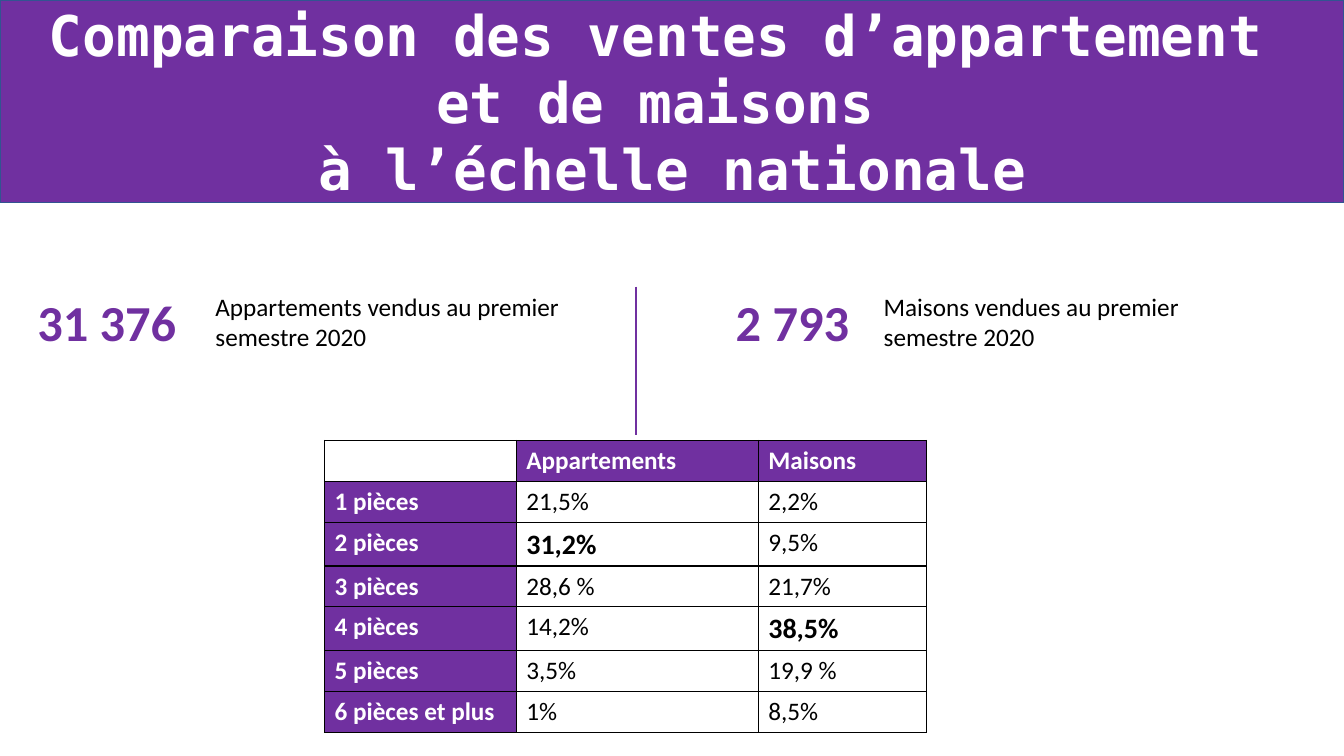
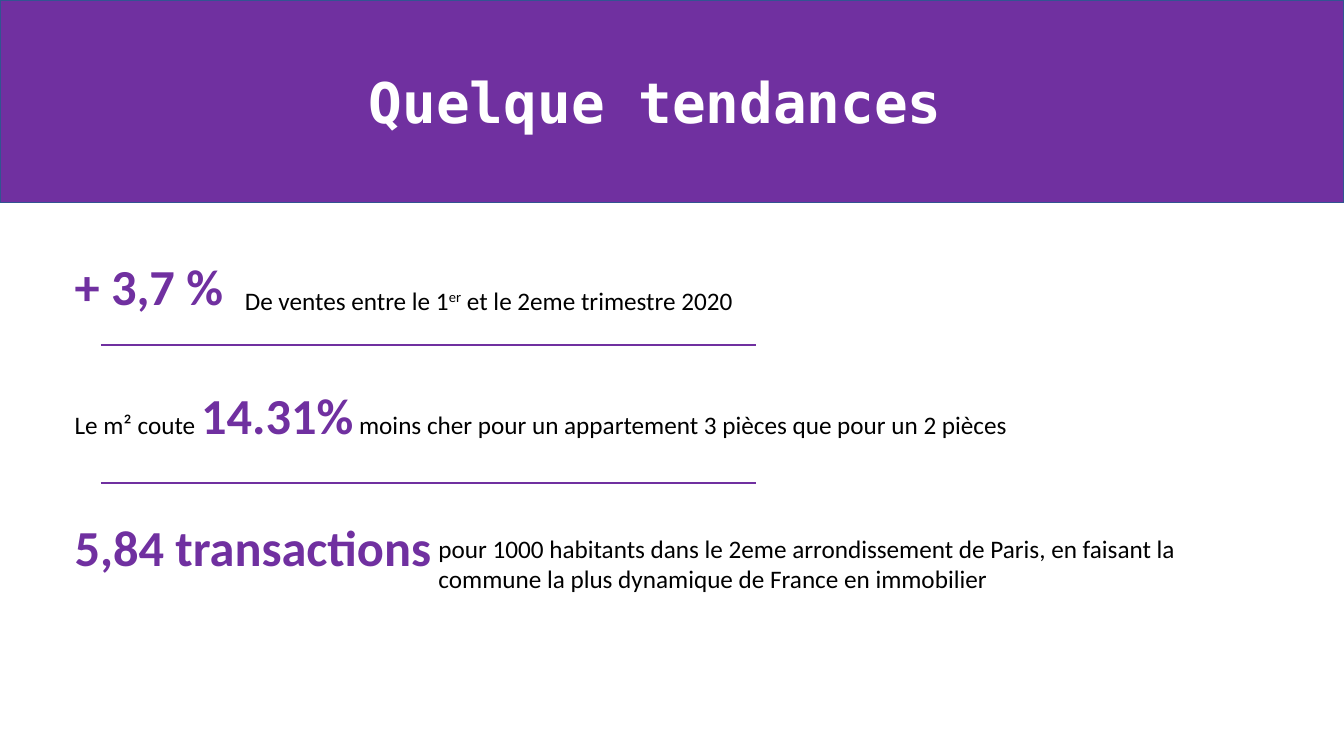
from dataclasses import dataclass

from lxml import etree
from pptx import Presentation
from pptx.dml.color import RGBColor
from pptx.enum.shapes import MSO_CONNECTOR
from pptx.enum.text import MSO_ANCHOR, MSO_AUTO_SIZE, PP_ALIGN
from pptx.oxml.ns import qn
from pptx.util import Cm, Pt

CENTER, LEFT = PP_ALIGN.CENTER, PP_ALIGN.LEFT
MIDDLE = MSO_ANCHOR.MIDDLE
NO_AUTOFIT = MSO_AUTO_SIZE.NONE
STRAIGHT = MSO_CONNECTOR.STRAIGHT
TITLE_ONLY = 5


@dataclass(frozen=True)
class Theme:
    purple: str = "7030A0"
    band_edge: str = "325491"
    white: str = "FFFFFF"
    black: str = "000000"
    title_font: str = "DejaVu Sans Mono"
    body_font: str = "Calibri"
    title_size: int = 40
    figure_size: int = 36
    emphasis_size: int = 20
    body_size: int = 18
    rule_width: float = 1.5
    border_width: float = 1


THEME = Theme()
SLIDE_WIDTH, SLIDE_HEIGHT = Cm(33.87), Cm(19.05)
BAND_HEIGHT = Cm(5.1)
FIGURE = dict(size=THEME.figure_size, color=THEME.purple, bold=True)
EMPHASIS = dict(size=THEME.emphasis_size, bold=True)

HEADERS = ["", "Appartements", "Maisons"]
SALES_SHARES = [
    ("1 pièces", "21,5%", "2,2%"),
    ("2 pièces", "31,2%", "9,5%"),
    ("3 pièces", "28,6 %", "21,7%"),
    ("4 pièces", "14,2%", "38,5%"),
    ("5 pièces", "3,5%", "19,9 %"),
    ("6 pièces et plus", "1%", "8,5%"),
]
TOP_SHARES = {"31,2%", "38,5%"}


def rgb(color):
    return RGBColor.from_string(color)


def format_run(run, font=THEME.body_font, size=THEME.body_size,
               color=THEME.black, bold=False, superscript=False):
    run.font.name = font
    run.font.size = Pt(size)
    run.font.color.rgb = rgb(color)
    run.font.bold = bold
    if superscript:
        run.font._element.set("baseline", "30000")


def write(frame, *lines, align=LEFT, **style):
    """Write one paragraph per line; a line is a string or (text, style) pairs."""
    for index, line in enumerate(lines):
        paragraph = frame.add_paragraph() if index else frame.paragraphs[0]
        paragraph.alignment = align
        pieces = [(line, {})] if isinstance(line, str) else line
        for text, changes in pieces:
            run = paragraph.add_run()
            run.text = text
            format_run(run, **{**style, **changes})


def add_titled_slide(deck, *title_lines):
    slide = deck.slides.add_slide(deck.slide_layouts[TITLE_ONLY])
    title = slide.shapes.title
    title.left, title.top = 0, 0
    title.width, title.height = SLIDE_WIDTH, BAND_HEIGHT
    title.fill.solid()
    title.fill.fore_color.rgb = rgb(THEME.purple)
    title.line.color.rgb = rgb(THEME.band_edge)
    title.line.width = Pt(1)
    frame = title.text_frame
    frame.auto_size = NO_AUTOFIT
    frame.word_wrap = True
    frame.vertical_anchor = MIDDLE
    write(frame, *title_lines, align=CENTER, font=THEME.title_font,
          size=THEME.title_size, color=THEME.white, bold=True)
    return slide


def add_text(slide, left, top, width, *lines, height=1.8, **style):
    box = slide.shapes.add_textbox(Cm(left), Cm(top), Cm(width), Cm(height))
    box.text_frame.word_wrap = True
    write(box.text_frame, *lines, **style)


def add_rule(slide, x1, y1, x2, y2):
    rule = slide.shapes.add_connector(STRAIGHT, Cm(x1), Cm(y1), Cm(x2), Cm(y2))
    rule.line.color.rgb = rgb(THEME.purple)
    rule.line.width = Pt(THEME.rule_width)
    etree.SubElement(rule._element.spPr, qn("a:effectLst"))


def add_borders(cell):
    properties = cell._tc.get_or_add_tcPr()
    for side in ("lnL", "lnR", "lnT", "lnB"):
        border = etree.SubElement(properties, qn(f"a:{side}"),
                                  w=str(Pt(THEME.border_width)))
        fill = etree.SubElement(border, qn("a:solidFill"))
        etree.SubElement(fill, qn("a:srgbClr"), val=THEME.black)


def fill_cell(cell, text, heading):
    add_borders(cell)
    cell.fill.solid()
    cell.fill.fore_color.rgb = rgb(THEME.purple if heading else THEME.white)
    if heading:
        style = dict(color=THEME.white, bold=True)
    else:
        style = EMPHASIS if text in TOP_SHARES else {}
    if text:
        write(cell.text_frame, text, **style)


def add_shares_table(slide, left, top, column_widths, row_height):
    rows = [HEADERS, *SALES_SHARES]
    table = slide.shapes.add_table(
        len(rows), len(HEADERS), Cm(left), Cm(top),
        Cm(sum(column_widths)), Cm(row_height * len(rows))).table
    table.horz_banding = False
    for column, width in zip(table.columns, column_widths):
        column.width = Cm(width)
    for row_index, row in enumerate(rows):
        table.rows[row_index].height = Cm(row_height)
        for column_index, text in enumerate(row):
            heading = bool(text) and (row_index == 0 or column_index == 0)
            fill_cell(table.cell(row_index, column_index), text, heading)


def build_comparison(deck):
    slide = add_titled_slide(deck, "Comparaison des ventes d’appartement ",
                             "et de maisons ", "à l’échelle nationale")
    top = 7.22
    add_rule(slide, 16.03, top, 16.03, 10.97)
    add_text(slide, 0.69, top, 4.1, "31 376", **FIGURE)
    add_text(slide, 5.18, top, 9.83,
             "Appartements vendus au premier semestre 2020")
    add_text(slide, 18.29, top, 3.7, "2 793", **FIGURE)
    add_text(slide, 22.02, top, 10.3,
             "Maisons vendues au premier", "semestre 2020")
    add_shares_table(slide, 8.18, 11.1, (4.83, 6.1, 4.24), 1.03)


def build_trends(deck):
    slide = add_titled_slide(deck, "Quelque tendances ")
    left = 1.63
    add_text(slide, left, 6.3, 4.4, "+ 3,7 %", **FIGURE)
    add_text(slide, 5.92, 7.06, 17.6,
             [("De ventes entre le 1", {}), ("er", dict(superscript=True)),
              (" et le 2eme trimestre 2020", {})], height=1.02)
    add_text(slide, left, 9.55, 24.5,
             [("Le m² coute ", {}), ("14.31%", FIGURE),
              (" moins cher pour un appartement 3 pièces que pour un 2 pièces",
               {})])
    add_text(slide, left, 12.88, 9.7, "5,84 transactions", **FIGURE)
    add_text(slide, 10.8, 13.31, 19.94,
             "pour 1000 habitants dans le 2eme arrondissement de Paris, "
             "en faisant la",
             "commune la plus dynamique de France en immobilier")
    for y in (8.69, 12.17):
        add_rule(slide, 2.54, y, 19.05, y)


def main():
    deck = Presentation()
    deck.slide_width, deck.slide_height = SLIDE_WIDTH, SLIDE_HEIGHT
    build_comparison(deck)
    build_trends(deck)
    deck.save("out.pptx")


if __name__ == "__main__":
    main()
